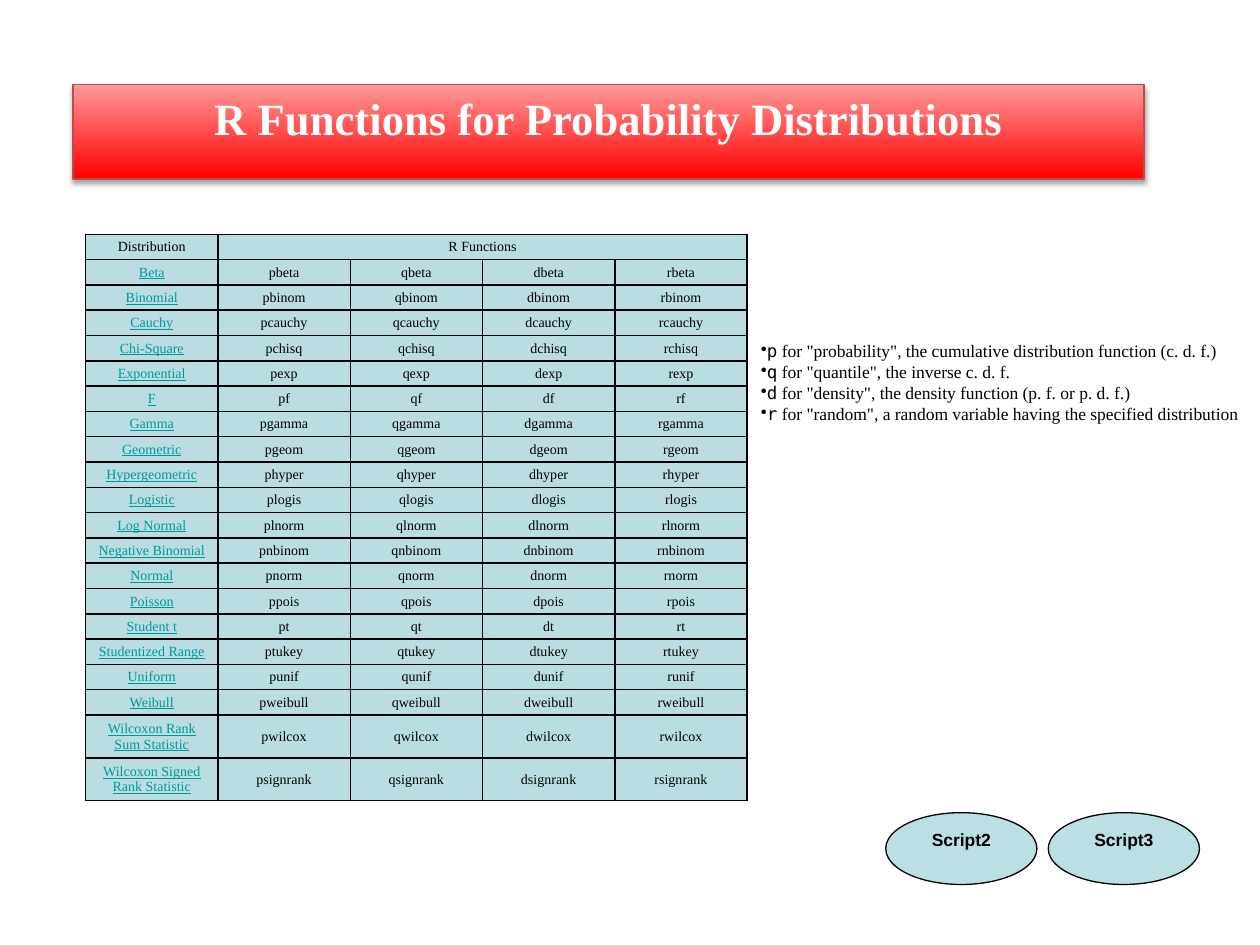
"""Build a slide listing the R functions for probability distributions."""
from typing import NamedTuple

from pptx import Presentation
from pptx import util as u
from pptx.dml.color import RGBColor
from pptx.enum import shapes, text
from pptx.oxml import parse_xml
from pptx.oxml.ns import nsdecls

HUES = {"black": "000000", "white": "FFFFFF", "teal": "009999", "cell": "BADDE1",
        "oval": "BBE0E3", "pink": "FF9A99", "red": "FF0000", "edge": "BE4B48"}
SERIF, MONO, SANS = "Times New Roman", "DejaVu Sans Mono", "Arial"


class Box(NamedTuple):
    left: float
    top: float
    width: float
    height: float


class Dist(NamedTuple):
    name: str
    stem: str


class Note(NamedTuple):
    key: str
    body: str


class Oval(NamedTuple):
    label: str
    box: Box


DISTS = [
    Dist("Beta", "beta"), Dist("Binomial", "binom"), Dist("Cauchy", "cauchy"),
    Dist("Chi-Square", "chisq"), Dist("Exponential", "exp"), Dist("F", "f"),
    Dist("Gamma", "gamma"), Dist("Geometric", "geom"), Dist("Hypergeometric", "hyper"),
    Dist("Logistic", "logis"), Dist("Log Normal", "lnorm"),
    Dist("Negative Binomial", "nbinom"), Dist("Normal", "norm"),
    Dist("Poisson", "pois"), Dist("Student t", "t"),
    Dist("Studentized Range", "tukey"), Dist("Uniform", "unif"),
    Dist("Weibull", "weibull"), Dist("Wilcoxon Rank Sum Statistic", "wilcox"),
    Dist("Wilcoxon Signed Rank Statistic", "signrank"),
]
NOTES = [
    Note("p", ' for "probability", the cumulative distribution function (c. d. f.)'),
    Note("q", ' for "quantile", the inverse c. d. f.'),
    Note("d", ' for "density", the density function (p. f. or p. d. f.)'),
    Note("r", ' for "random", a random variable having the specified distribution'),
]
OVALS = [Oval(f"Script{n}", Box(7.03 + 1.29 * i, 6.45, 1.2, 0.57))
         for i, n in enumerate((2, 3))]
TABLE = Box(0.68, 1.86, 5.25, 4.5)
TALL, TALLS = 0.34, 2


def hue(name: str) -> RGBColor:
    """Return a named colour."""
    return RGBColor.from_string(HUES[name])


def place(box: Box) -> list:
    """Return the box as lengths."""
    return [u.Inches(n) for n in box]


def style(run, size: float, face: str, tint: str = "black", bold: bool = False) -> None:
    """Set the font of a run."""
    run.font.size, run.font.name, run.font.bold = u.Pt(size), face, bold
    run.font.color.rgb = hue(tint)


def label(frame, words: str, size: float, face: str, tint: str, bold: bool):
    """Write one centred line and return its run."""
    frame.text = words
    line = frame.paragraphs[0]
    line.alignment = text.PP_ALIGN.CENTER
    style(line.runs[0], size, face, tint, bold)
    return line.runs[0]


def add_form(slide, kind, box: Box, edge: str):
    """Add an outlined shape with its text at the top."""
    form = slide.shapes.add_shape(kind, *place(box))
    form.shadow.inherit = False
    form.line.color.rgb = hue(edge)
    form.line.width = u.Pt(0.75)
    form.text_frame.vertical_anchor = text.MSO_ANCHOR.TOP
    return form


def add_title(slide) -> None:
    """Add the red title banner."""
    form = add_form(slide, shapes.MSO_SHAPE.RECTANGLE, Box(0.58, 0.67, 8.5, 0.75), "edge")
    form.fill.gradient()
    form.fill.gradient_angle = 270
    for stop, tint in zip(form.fill.gradient_stops, ("pink", "red")):
        stop.color.rgb = hue(tint)
    effects = form._element.spPr.find("{*}effectLst")
    effects.append(parse_xml(
        f'<a:outerShdw {nsdecls("a")} blurRad="{u.Pt(3.1)}" dist="{u.Pt(1.8)}" '
        f'dir="5400000" rotWithShape="0"><a:srgbClr val="{HUES["black"]}">'
        '<a:alpha val="35000"/></a:srgbClr></a:outerShdw>'))
    label(form.text_frame, "R Functions for Probability Distributions",
          25.5, SERIF, "white", True)


def fill_cell(cell, words: str, link: bool) -> None:
    """Write, border and fill one table cell."""
    cell.vertical_anchor = text.MSO_ANCHOR.MIDDLE
    cell.margin_left = cell.margin_right = u.Inches(0.06)
    cell.margin_top = cell.margin_bottom = u.Inches(0.03)
    props = cell._tc.get_or_add_tcPr()
    for side in "LRTB":
        props.append(parse_xml(
            f'<a:ln{side} {nsdecls("a")} w="{u.Pt(1)}"><a:solidFill>'
            f'<a:srgbClr val="{HUES["black"]}"/></a:solidFill></a:ln{side}>'))
    cell.fill.solid()
    cell.fill.fore_color.rgb = hue("cell")
    if words:
        run = label(cell.text_frame, words, 8, SERIF, "teal" if link else "black", False)
        run.font.underline = link


def add_grid(slide) -> None:
    """Add the table of distributions and functions."""
    rows = [["Distribution", "R Functions", "", "", ""]]
    rows += [[d.name] + [n.key + d.stem for n in NOTES] for d in DISTS]
    grid = slide.shapes.add_table(len(rows), len(rows[0]), *place(TABLE)).table
    short = (TABLE.height - TALLS * TALL) / (len(rows) - TALLS)
    for r, row in enumerate(rows):
        grid.rows[r].height = u.Inches(TALL if r >= len(rows) - TALLS else short)
        for c, words in enumerate(row):
            fill_cell(grid.cell(r, c), words, r > 0 and c == 0)
    grid.cell(0, 1).merge(grid.cell(0, 4))


def add_notes(slide) -> None:
    """Add the bulleted key to the function prefixes."""
    frame = slide.shapes.add_textbox(*place(Box(5.94, 2.48, 4.06, 1.11))).text_frame
    frame.word_wrap = True
    frame.vertical_anchor = text.MSO_ANCHOR.MIDDLE
    frame.text = "\n".join(n.key for n in NOTES)
    for line, note in zip(frame.paragraphs, NOTES):
        line.add_run().text = note.body
        for run, face in zip(line.runs, (MONO, SERIF)):
            style(run, 10, face)
        line._p.get_or_add_pPr().append(
            parse_xml(f'<a:buChar {nsdecls("a")} char="•"/>'))


def add_oval(slide, oval: Oval) -> None:
    """Add one script button."""
    form = add_form(slide, shapes.MSO_SHAPE.OVAL, oval.box, "black")
    form.fill.solid()
    form.fill.fore_color.rgb = hue("oval")
    label(form.text_frame, oval.label, 10, SANS, "black", True)


def main() -> None:
    """Build and save the slide."""
    deck = Presentation()
    deck.slide_width, deck.slide_height = u.Inches(10), u.Inches(7.5)
    slide = deck.slides.add_slide(deck.slide_layouts[6])
    add_title(slide)
    add_grid(slide)
    add_notes(slide)
    for oval in OVALS:
        add_oval(slide, oval)
    deck.save("out.pptx")


if __name__ == "__main__":
    main()
